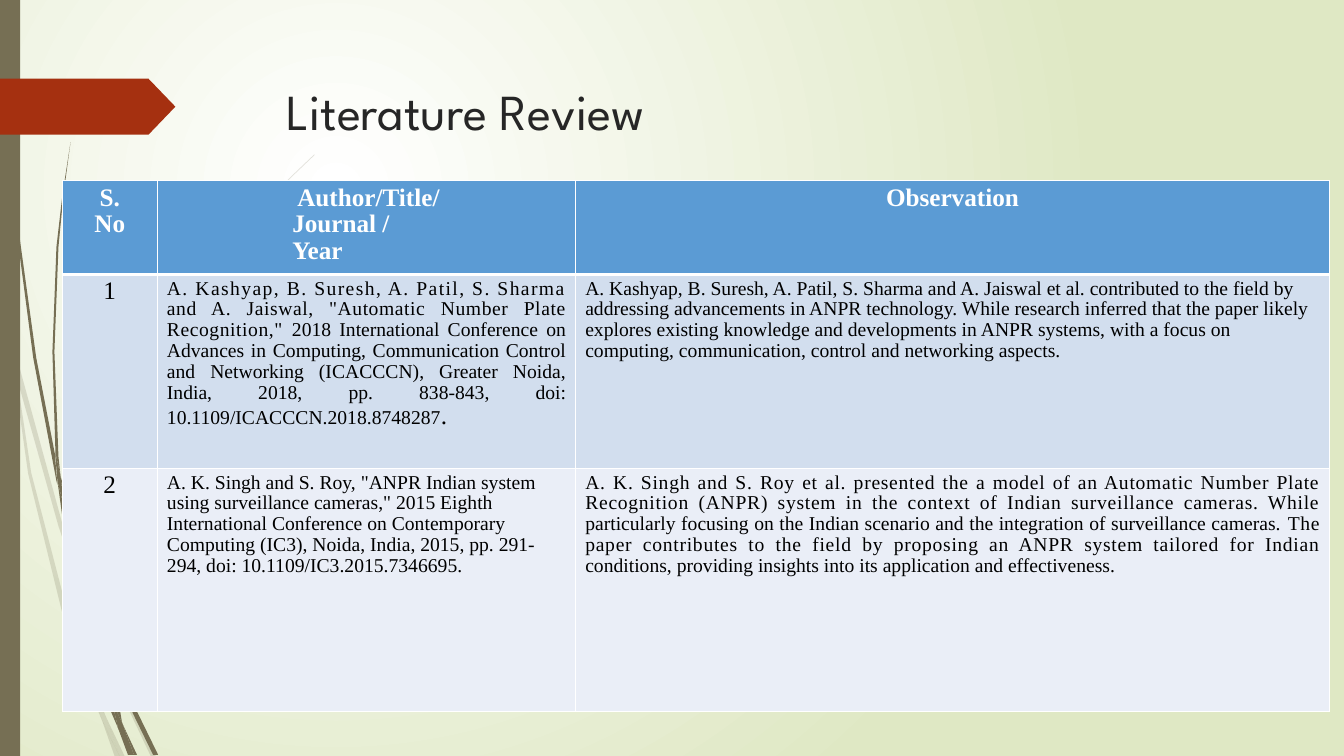
import dataclasses

import pptx
import pptx.dml.color
import pptx.enum.shapes
import pptx.enum.text
import pptx.oxml
import pptx.oxml.ns
import pptx.util

Pt = pptx.util.Pt
RGBColor = pptx.dml.color.RGBColor
Align = pptx.enum.text.PP_ALIGN

WHITE = RGBColor(0xFF, 0xFF, 0xFF)
BLACK = RGBColor(0, 0, 0)
PALE_GREEN = RGBColor(0xDF, 0xE8, 0xC4)
OLIVE = RGBColor(0x76, 0x6F, 0x54)
RUST = RGBColor(0xA5, 0x30, 0x10)
TITLE_GREY = RGBColor(0x26, 0x26, 0x26)
HEADER_BLUE = RGBColor(0x5B, 0x9B, 0xD4)
ROW_BLUE = RGBColor(0xD2, 0xDE, 0xEE)
ROW_PALE = RGBColor(0xEA, 0xEE, 0xF7)

GRID = Pt(0.72)  # unit of the stem outlines
COLUMN_WIDTHS = (67.7, 298.8, 538.6)
ROW_HEIGHTS = (67, 138.5, 173.5)
ROW_FILLS = (HEADER_BLUE, ROW_BLUE, ROW_PALE)

Outline = list[tuple[int, int]]


@dataclasses.dataclass
class Run:
    text: str
    tracking: float = 0
    size: float | None = None


@dataclasses.dataclass
class Entry:
    """Content of one table cell; each inner list of runs is a paragraph."""
    paragraphs: list[list[Run]]
    size: float = 14
    align: Align = Align.LEFT
    left: float = 7
    right: float = 6.5
    first_indent: float = 0


FAINT_STEMS: list[Outline] = [
    [(11, 350), (9, 322), (0, 282), (0, 299), (10, 344)],
    [(58, 522), (84, 599), (85, 586), (62, 520), (14, 345), (17, 376)],
    [(92, 607), (88, 596), (88, 610), (123, 694), (150, 751), (155, 751), (127, 692)],
    [(119, 751), (124, 751), (105, 711)],
    [(93, 683), (70, 619), (31, 469), (17, 376), (11, 350), (28, 470), (65, 621),
     (92, 693), (101, 714), (99, 707)],
    [(84, 599), (87, 646), (93, 683), (96, 692), (105, 711), (103, 706), (91, 646),
     (88, 610), (88, 608)],
    [(88, 584), (110, 462), (160, 349), (229, 245), (268, 198), (290, 175), (312, 154),
     (312, 153), (289, 175), (268, 197), (228, 244), (158, 348), (107, 461), (85, 584),
     (85, 586), (88, 596)],
    [(101, 714), (114, 751), (119, 751)],
    [(88, 608), (88, 610), (88, 596), (85, 586), (84, 599)],
    [(96, 692), (93, 683), (99, 707), (101, 714), (119, 751), (105, 711)],
]
DARK_STEMS: list[Outline] = [
    [(7, 110), (17, 233), (33, 355), (56, 477), (57, 481), (55, 457), (55, 453),
     (36, 355), (19, 232), (8, 109), (5, 48), (4, 0), (3, 0), (4, 48)],
    [(88, 592), (106, 645), (106, 633), (106, 631), (93, 590), (60, 472), (64, 505)],
    [(113, 649), (110, 641), (111, 656), (132, 708), (152, 749), (157, 749), (136, 706)],
    [(110, 691), (98, 657), (72, 556), (64, 505), (57, 477), (68, 557), (93, 659),
     (111, 708), (117, 722), (116, 717)],
    [(60, 472), (58, 453), (54, 349), (58, 245), (63, 193), (70, 141), (62, 193),
     (56, 245), (52, 349), (55, 449)],
    [(133, 749), (136, 749), (122, 719)],
    [(57, 477), (64, 505), (60, 472), (55, 449), (55, 453)],
    [(111, 633), (125, 552), (158, 476), (205, 406), (231, 374), (245, 359), (261, 344),
     (260, 344), (245, 358), (231, 373), (204, 405), (156, 474), (122, 551), (106, 631),
     (110, 641)],
    [(117, 722), (127, 749), (131, 749)],
    [(106, 645), (110, 691), (116, 706), (122, 719), (121, 716), (111, 656), (109, 651)],
    [(106, 645), (109, 651), (111, 656), (110, 641), (106, 631), (106, 633)],
    [(116, 706), (110, 691), (116, 717), (117, 722), (130, 749), (133, 749), (122, 719)],
]

# Tracking on some runs sets where the justified lines wrap.
ENTRIES: list[list[Entry]] = [
    [
        Entry([[Run("S.")], [Run("No")]], 18, Align.CENTER, 0, 0),
        Entry([[Run("Author/Title/ Journal / Year")]], 18, left=96.5, right=96,
              first_indent=3.6),
        Entry([[Run("Observation")]], 18, Align.CENTER, 0, 0),
    ],
    [
        Entry([[Run("1")]], 18, Align.CENTER, 0, 0),
        Entry([[
            Run("A. Kashyap, B. Suresh, A. Patil, S. Sharma ", 1),
            Run('and A. Jaiswal, "Automatic Number Plate Recognition," ', 0.4),
            Run("2018 International Conference on Advances in Computing, Communication "
                "Control and Networking (ICACCCN), Greater Noida, India, 2018, "
                "pp. 838-843, doi: 10.1109/ICACCCN.2018.8748287"),
            Run(".", size=18),
        ]], align=Align.JUSTIFY),
        Entry([[Run(
            "A. Kashyap, B. Suresh, A. Patil, S. Sharma and A. Jaiswal et al. contributed "
            "to the field by addressing advancements in ANPR technology. While research "
            "inferred that the paper likely explores existing knowledge and developments "
            "in ANPR systems, with a focus on computing, communication, control and "
            "networking aspects.")]], right=12),
    ],
    [
        Entry([[Run("2")]], 18, Align.CENTER, 0, 0),
        Entry([[Run(
            'A. K. Singh and S. Roy, "ANPR Indian system using surveillance cameras," '
            "2015 Eighth International Conference on Contemporary Computing (IC3), Noida, "
            "India, 2015, pp. 291-294, doi: 10.1109/IC3.2015.7346695.")]]),
        Entry([[
            Run("A. K. Singh and S. Roy et al. presented the a model of an Automatic Number "
                "Plate Recognition (ANPR) system in the context of Indian surveillance "
                "cameras. While ", 0.5),
            Run("particularly focusing on the Indian scenario and the integration of "
                "surveillance cameras. "),
            Run("The paper contributes to the field by proposing an ANPR system tailored "
                "for Indian ", 0.5),
            Run("conditions, providing insights into its application and effectiveness."),
        ]], align=Align.JUSTIFY),
    ],
]


def paint(shape, color: RGBColor) -> None:
    shape.shadow.inherit = False
    shape.fill.solid()
    shape.fill.fore_color.rgb = color
    shape.line.fill.background()


def draw_background(slide) -> None:
    fill = slide.background.fill
    fill.gradient()
    for stop, color in zip(fill.gradient_stops, (WHITE, PALE_GREEN)):
        stop.color.rgb = color
    linear = slide.background._element.find(".//" + pptx.oxml.ns.qn("a:lin"))
    circle = pptx.oxml.parse_xml(
        f'<a:path {pptx.oxml.ns.nsdecls("a")} path="circle">'
        '<a:fillToRect l="50000" t="50000" r="100000" b="100000"/></a:path>')
    linear.getparent().replace(linear, circle)


def draw_stems(slide, outlines: list[Outline], opacity: int) -> None:
    group = slide.shapes.add_group_shape()
    for start, *others in outlines:
        builder = group.shapes.build_freeform(*start, scale=GRID)
        builder.add_line_segments(others)
        stem = builder.convert_to_shape()
        paint(stem, OLIVE)
        if opacity < 100:
            color = stem._element.spPr.find(".//" + pptx.oxml.ns.qn("a:srgbClr"))
            color.append(pptx.oxml.parse_xml(
                f'<a:alpha {pptx.oxml.ns.nsdecls("a")} val="{opacity * 1000}"/>'))


def draw_preset(slide, kind, left: float, top: float, width: float, height: float,
                color: RGBColor):
    shape = slide.shapes.add_shape(kind, Pt(left), Pt(top), Pt(width), Pt(height))
    paint(shape, color)
    return shape


def write_title(slide) -> None:
    title = slide.shapes.title
    title.left, title.top, title.width, title.height = Pt(204.5), Pt(49), Pt(702), Pt(100.8)
    frame = title.text_frame
    frame.text = "Literature Review"
    frame.margin_left = frame.margin_right = frame.margin_bottom = 0
    frame.margin_top = Pt(8)
    frame.vertical_anchor = pptx.enum.text.MSO_ANCHOR.TOP
    frame.auto_size = pptx.enum.text.MSO_AUTO_SIZE.NONE
    paragraph = frame.paragraphs[0]
    paragraph.alignment = Align.LEFT
    paragraph.space_before = Pt(1)
    paragraph.font.name = "League Spartan"
    paragraph.font.size = Pt(36)
    paragraph.font.color.rgb = TITLE_GREY


def draw_borders(cell, top: float, bottom: float) -> None:
    properties = cell._tc.get_or_add_tcPr()
    for index, (side, width) in enumerate((("L", 1), ("R", 1), ("T", top), ("B", bottom))):
        properties.insert(index, pptx.oxml.parse_xml(
            f'<a:ln{side} {pptx.oxml.ns.nsdecls("a")} w="{Pt(width)}"><a:solidFill>'
            f'<a:srgbClr val="{WHITE}"/></a:solidFill></a:ln{side}>'))


def write_entry(cell, entry: Entry, is_header: bool) -> None:
    cell.margin_left, cell.margin_right = Pt(entry.left), Pt(entry.right)
    cell.margin_top, cell.margin_bottom = Pt(3), 0
    frame = cell.text_frame
    for index, runs in enumerate(entry.paragraphs):
        paragraph = frame.add_paragraph() if index else frame.paragraphs[0]
        paragraph.alignment = entry.align
        paragraph.line_spacing = 0.96
        paragraph.space_before = Pt(0 if index else 3)
        if entry.first_indent:
            paragraph._p.get_or_add_pPr().set("indent", str(Pt(entry.first_indent)))
        font = paragraph.font
        font.name, font.size, font.bold = "Times New Roman", Pt(entry.size), is_header
        font.color.rgb = WHITE if is_header else BLACK
        for item in runs:
            run = paragraph.add_run()
            run.text = item.text
            if item.size:
                run.font.size = Pt(item.size)
            if item.tracking:
                run._r.get_or_add_rPr().set("spc", str(round(item.tracking * 100)))


def draw_table(slide) -> None:
    table = slide.shapes.add_table(
        len(ROW_HEIGHTS), len(COLUMN_WIDTHS), Pt(44.6), Pt(129),
        Pt(sum(COLUMN_WIDTHS)), Pt(sum(ROW_HEIGHTS))).table
    for column, width in zip(table.columns, COLUMN_WIDTHS):
        column.width = Pt(width)
    for row_index, (row, height) in enumerate(zip(table.rows, ROW_HEIGHTS)):
        row.height = Pt(height)
        for cell, entry in zip(row.cells, ENTRIES[row_index]):
            cell.fill.solid()
            cell.fill.fore_color.rgb = ROW_FILLS[row_index]
            draw_borders(cell, 3 if row_index == 1 else 1, 3 if row_index == 0 else 1)
            write_entry(cell, entry, row_index == 0)


def main() -> None:
    presentation = pptx.Presentation()
    presentation.slide_width, presentation.slide_height = Pt(960), Pt(540)
    slide = presentation.slides.add_slide(presentation.slide_layouts.get_by_name("Title Only"))
    preset = pptx.enum.shapes.MSO_SHAPE
    draw_background(slide)
    draw_stems(slide, FAINT_STEMS, 20)
    draw_stems(slide, DARK_STEMS, 100)
    draw_preset(slide, preset.RECTANGLE, 0, 0, 14.4, 540, OLIVE)
    arrow = draw_preset(slide, preset.PENTAGON, 0, 56.2, 125.3, 40, RUST)
    arrow.adjustments[0] = 0.48
    write_title(slide)
    draw_table(slide)
    presentation.save("out.pptx")


if __name__ == "__main__":
    main()
